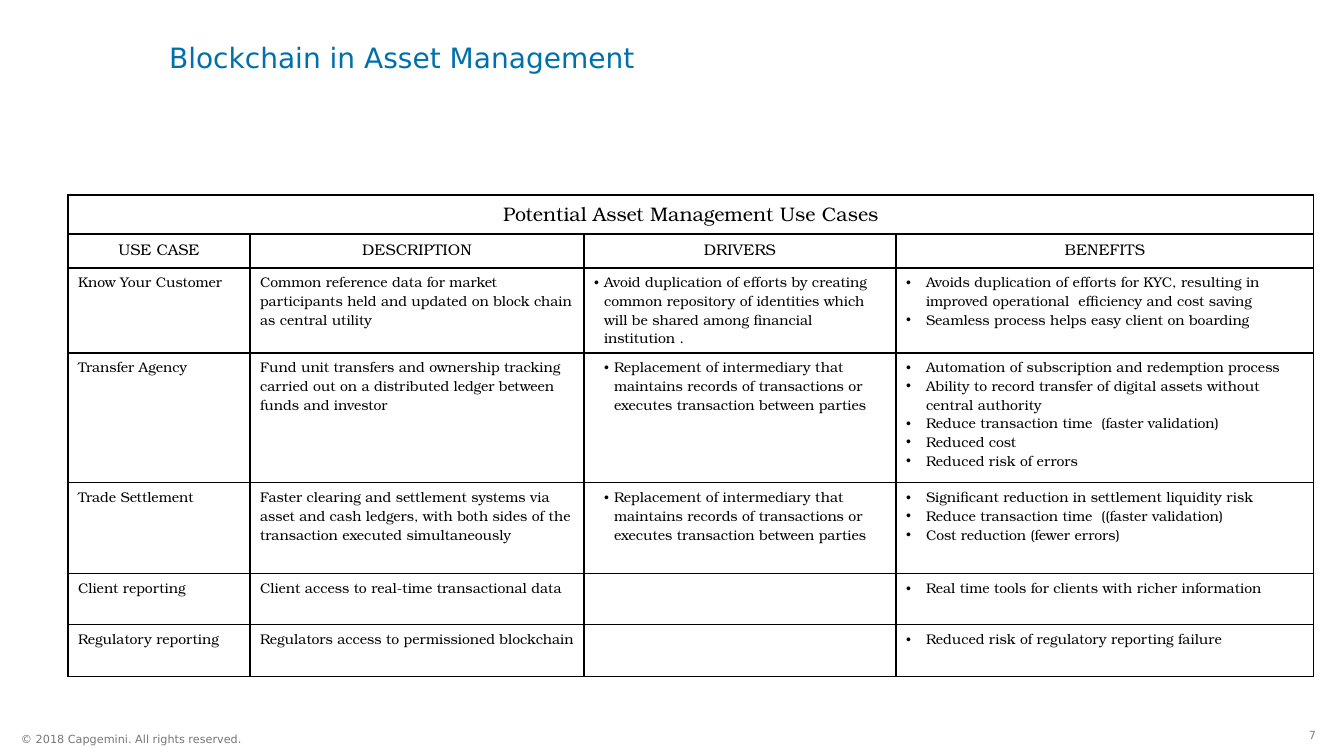
from lxml import etree
from pptx import Presentation
from pptx.dml.color import RGBColor
from pptx.enum.text import MSO_ANCHOR as Anchor, MSO_AUTO_SIZE as AutoSize, PP_ALIGN as Align
from pptx.oxml.ns import qn
from pptx.util import Emu, Pt

# Content
TITLE = "Blockchain in Asset Management"
COPYRIGHT = "© 2018 Capgemini. All rights reserved."
PAGE = "7"
CAPTION = "Potential Asset Management Use Cases"
HEADS = ["USE CASE", "DESCRIPTION", "DRIVERS", "BENEFITS"]
INTERMEDIARY = ("Replacement of intermediary that maintains records of transactions "
                "or executes transaction between parties")
USE_CASES = [  # use case, description, driver, benefits
    ("Know Your Customer",
     "Common reference data for market participants held and updated on block chain "
     "as central utility",
     "Avoid duplication of efforts by creating common repository of identities which "
     "will be shared among financial institution .",
     ["Avoids duplication of efforts for KYC, resulting in improved operational  "
      "efficiency and cost saving",
      "Seamless process helps easy client on boarding"]),
    ("Transfer Agency",
     "Fund unit transfers and ownership tracking carried out on a distributed ledger "
     "between funds and investor",
     INTERMEDIARY,
     ["Automation of subscription and redemption process",
      "Ability to record transfer of digital assets without central authority",
      "Reduce transaction time  (faster validation)",
      "Reduced cost",
      "Reduced risk of errors"]),
    ("Trade Settlement",
     "Faster clearing and settlement systems via asset and cash ledgers, with both "
     "sides of the transaction executed simultaneously",
     INTERMEDIARY,
     ["Significant reduction in settlement liquidity risk",
      "Reduce transaction time  ((faster validation)",
      "Cost reduction (fewer errors)"]),
    ("Client reporting", "Client access to real-time transactional data", "",
     ["Real time tools for clients with richer information"]),
    ("Regulatory reporting", "Regulators access to permissioned blockchain", "",
     ["Reduced risk of regulatory reporting failure"]),
]

# Layout in px
SLIDE = (1344, 756)
TITLE_BOX = (45, 44, 714, 47)
PAGE_BOX = (1299, 723, 27, 24)
COPYRIGHT_BOX = (21, 727, 245, 24)
TABLE_AT = (68, 195)
COLS = [182, 334, 312, 418]
ROWS = [39, 34, 85, 130, 91, 51, 52]
NARROW, WIDE = 10, 20  # bullet indents

# Looks
SANS, SERIF = "DejaVu Sans", "TeX Gyre Bonum"
BLUE = RGBColor(0x00, 0x70, 0xAD)
BLACK = RGBColor(0x00, 0x00, 0x00)
GREY = RGBColor(0x80, 0x80, 0x80)
DARK_GREY = RGBColor(0x76, 0x76, 0x76)
CAPTION_FONT = {"name": SERIF, "size": Pt(14), "bold": False}
HEAD_FONT = {**CAPTION_FONT, "size": Pt(11)}
BODY_FONT = {**CAPTION_FONT, "size": Pt(10)}


def px(n):
    return Emu(round(n * 914400 / 100.8))


def write(p, text, font, color, align=Align.LEFT):
    p.alignment = align
    r = p.add_run()
    r.text = text
    for key, value in font.items():
        setattr(r.font, key, value)
    r.font.color.rgb = color


def set_bullet(p, margin, hang):
    pPr = p._p.get_or_add_pPr()
    pPr.set("marL", str(px(margin)))
    pPr.set("indent", str(-px(hang)))
    etree.SubElement(pPr, qn("a:buFont"), typeface="Arial")
    etree.SubElement(pPr, qn("a:buChar"), char="•")


def set_borders(cell):
    tcPr = cell._tc.get_or_add_tcPr()
    for i, side in enumerate(("lnL", "lnR", "lnT", "lnB")):
        ln = etree.Element(qn(f"a:{side}"), w=str(Pt(1)))
        fill = etree.SubElement(ln, qn("a:solidFill"))
        etree.SubElement(fill, qn("a:srgbClr"), val=str(BLACK))
        tcPr.insert(i, ln)


def fill_cell(cell, lines, font, align=Align.LEFT, bullet=None):
    tf = cell.text_frame
    for i, line in enumerate(lines):
        p = tf.add_paragraph() if i else tf.paragraphs[0]
        if bullet:
            set_bullet(p, *bullet)
        write(p, line, font, BLACK, align)


def add_label(s, box, text, color, align, anchor, margin=None):
    tf = s.shapes.add_textbox(*map(px, box)).text_frame
    tf.word_wrap = False
    tf.vertical_anchor = anchor
    if margin is not None:
        tf.margin_left = tf.margin_right = tf.margin_top = tf.margin_bottom = margin
    write(tf.paragraphs[0], text, {"name": SANS, "size": Pt(8)}, color, align)


prs = Presentation()
prs.slide_width, prs.slide_height = map(px, SLIDE)
s = prs.slides.add_slide(prs.slide_layouts[5])

# Title
title = s.shapes.title
title.left, title.top, title.width, title.height = map(px, TITLE_BOX)
tf = title.text_frame
for key, value in {"margin_left": 0, "margin_right": 0, "margin_top": 0, "margin_bottom": 0,
                   "vertical_anchor": Anchor.TOP, "auto_size": AutoSize.NONE,
                   "word_wrap": True}.items():
    setattr(tf, key, value)
tf.paragraphs[0].line_spacing = 0.9
write(tf.paragraphs[0], TITLE, {"name": SANS, "size": Pt(20)}, BLUE, Align.CENTER)

# Footer
add_label(s, PAGE_BOX, PAGE, GREY, Align.RIGHT, Anchor.TOP)
add_label(s, COPYRIGHT_BOX, COPYRIGHT, DARK_GREY, Align.LEFT, Anchor.MIDDLE, 0)

# Table grid
table = s.shapes.add_table(len(ROWS), len(COLS), *map(px, TABLE_AT),
                           px(sum(COLS)), px(sum(ROWS))).table
table.first_row = table.horz_banding = False
for col, width in zip(table.columns, COLS):
    col.width = px(width)
for row, height in zip(table.rows, ROWS):
    row.height = px(height)
for cell in table.iter_cells():
    cell.fill.background()
    set_borders(cell)

# Table text
table.cell(0, 0).merge(table.cell(0, len(COLS) - 1))
fill_cell(table.cell(0, 0), [CAPTION], CAPTION_FONT, Align.CENTER)
for c, head in enumerate(HEADS):
    fill_cell(table.cell(1, c), [head], HEAD_FONT, Align.CENTER)
for r, (name, description, driver, benefits) in enumerate(USE_CASES, 2):
    fill_cell(table.cell(r, 0), [name], BODY_FONT)
    fill_cell(table.cell(r, 1), [description], BODY_FONT)
    if driver:
        margin = WIDE if driver == INTERMEDIARY else NARROW
        fill_cell(table.cell(r, 2), [driver], BODY_FONT, bullet=(margin, NARROW))
    fill_cell(table.cell(r, 3), benefits, BODY_FONT, bullet=(WIDE, WIDE))

prs.save("out.pptx")
